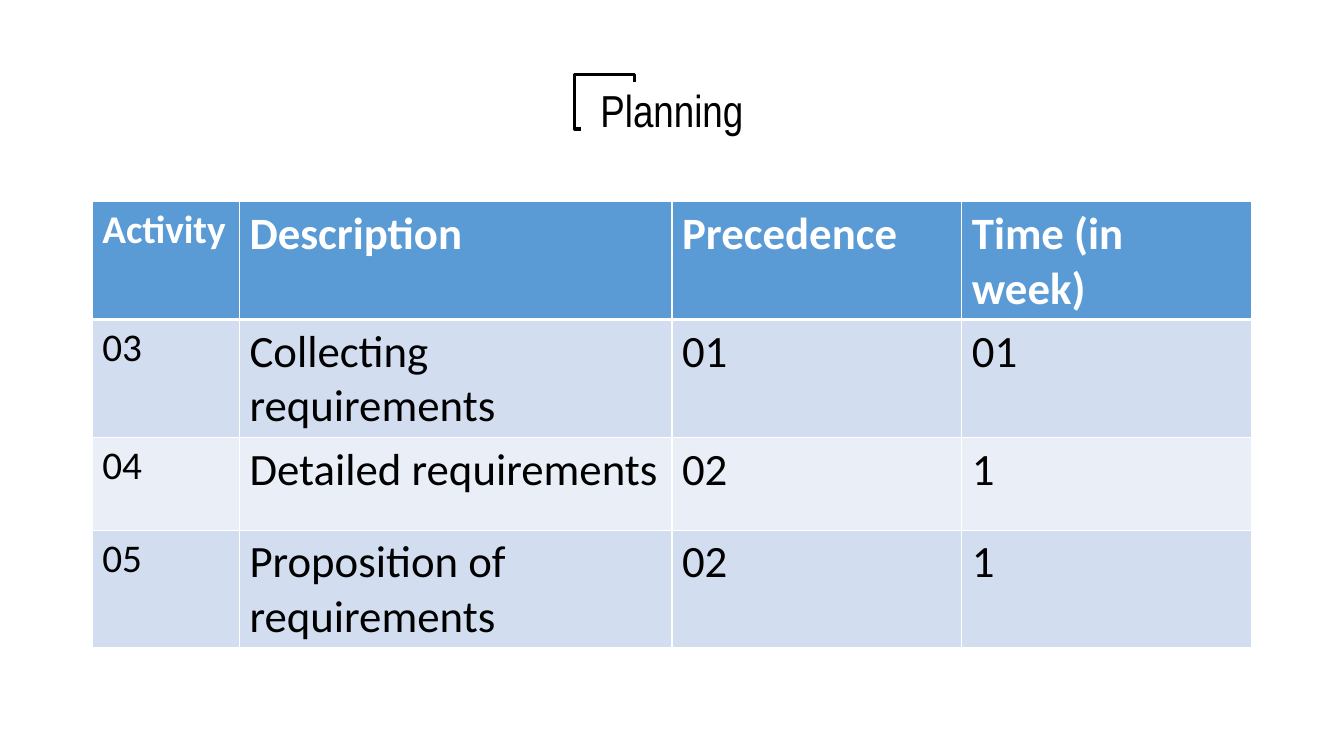
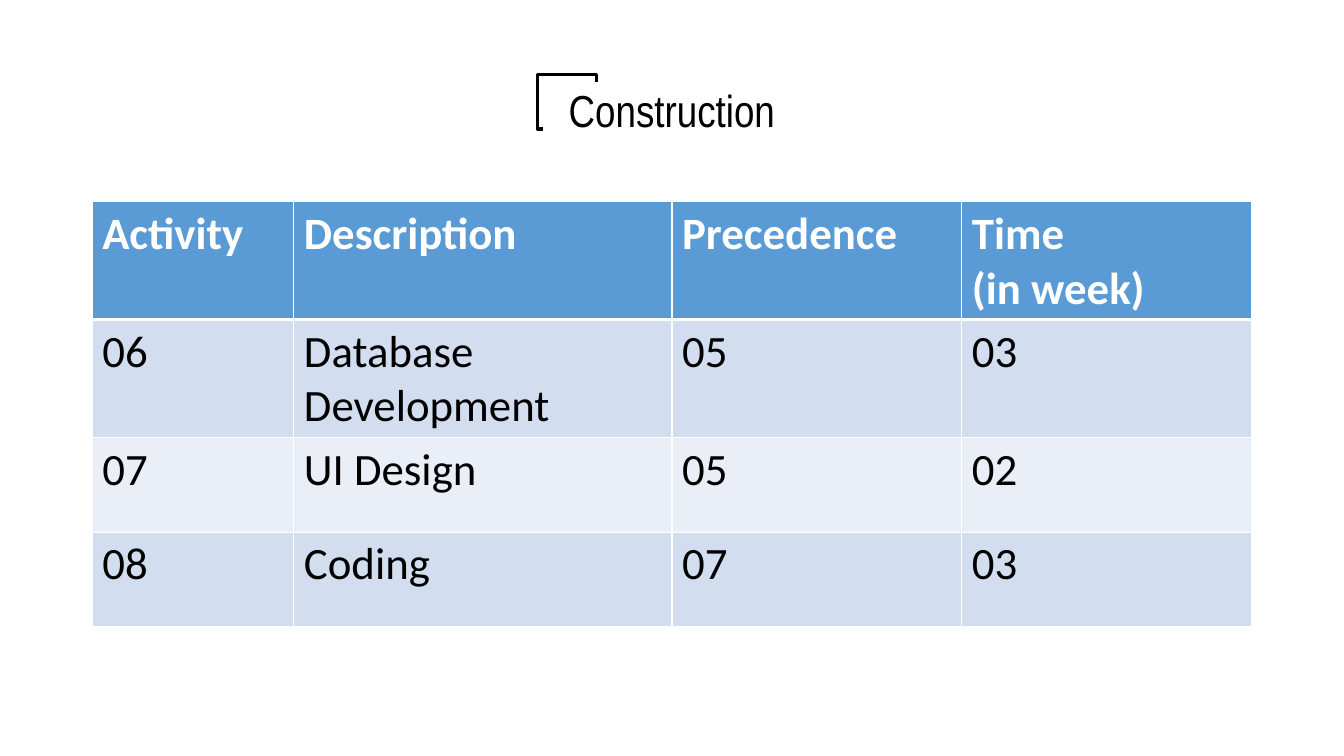
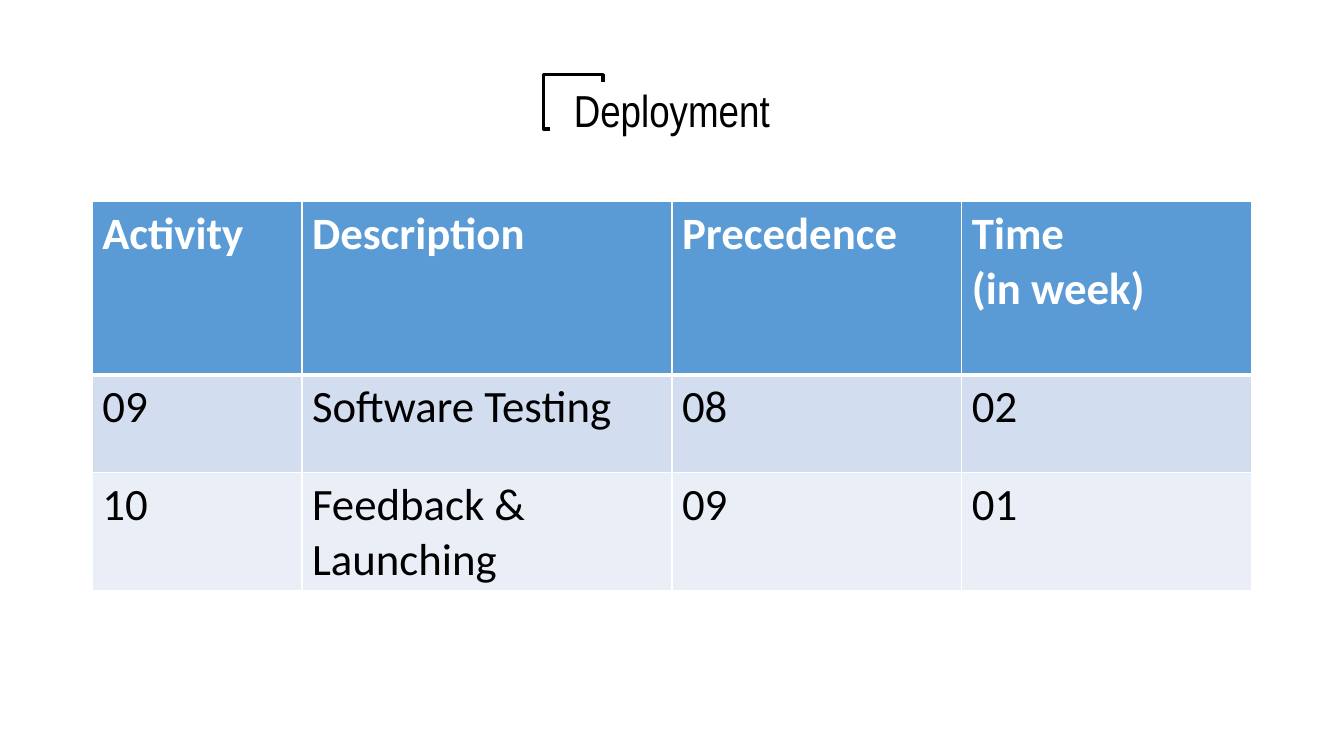
import lxml.etree
import pptx
import pptx.dml.color
import pptx.enum.text
import pptx.oxml.ns
import pptx.util

BLACK, WHITE, HEADER = "000000", "FFFFFF", "5B9BD5"
BANDS = ["D2DEEF", "EAEFF7"]
TITLE_FONT, BODY_FONT = "Arial Narrow", "Calibri"
WIDTH, HEIGHT = 13.33, 7.5
CONTENT = 11.5
LEFT = (WIDTH - CONTENT) / 2
QUARTER = CONTENT / 4
TABLE_TOP = 2
TWO_LINES = 1.17

# activity: width of the first column; first_size: its text size; bracket: its left edge
SLIDES = [
    dict(title="Planning", bracket=5.7, activity=1.46, first_size=28,
         heights=[TWO_LINES, TWO_LINES, 0.92, TWO_LINES],
         rows=[["Activity", "Description", "Precedence", "Time (in week)"],
               ["03", "Collecting requirements", "01", "01"],
               ["04", "Detailed requirements", "02", "1"],
               ["05", "Proposition of requirements", "02", "1"]]),
    dict(title="Construction", bracket=5.33, activity=2, first_size=32,
         heights=[TWO_LINES, TWO_LINES, 0.94, 0.94],
         rows=[["Activity", "Description", "Precedence", "Time\n(in week)"],
               ["06", "Database Development", "05", "03"],
               ["07", "UI Design", "05", "02"],
               ["08", "Coding", "07", "03"]]),
    dict(title="Deployment", bracket=5.39, activity=2.08, first_size=32,
         heights=[1.72, 0.97, TWO_LINES],
         rows=[["Activity", "Description", "Precedence", "Time\n(in week)"],
               ["09", "Software Testing", "08", "02"],
               ["10", "Feedback & Launching", "09", "01"]]),
]


def paint(fill, color):
    fill.solid()
    fill.fore_color.rgb = pptx.dml.color.RGBColor.from_string(color)


def write(tf, text, font=BODY_FONT, size=32, color=BLACK, bold=False, align=None, spacing=None):
    """Fill a text frame, one paragraph for each line of text."""
    tf.word_wrap = True
    for i, line in enumerate(text.split("\n")):
        p = tf.add_paragraph() if i else tf.paragraphs[0]
        p.alignment = align
        p.line_spacing = spacing
        r = p.add_run()
        r.text = line
        r.font.name = font
        r.font.size = pptx.util.Pt(size)
        r.font.bold = bold
        paint(r.font.fill, color)


inch = pptx.util.Inches
prs = pptx.Presentation()
prs.slide_width, prs.slide_height = inch(WIDTH), inch(HEIGHT)

for data in SLIDES:
    s = prs.slides.add_slide(prs.slide_layouts[6])
    paint(s.background.fill, WHITE)

    title = s.shapes.add_textbox(inch(LEFT), inch(0.4), inch(CONTENT), inch(1.45))
    title.text_frame.vertical_anchor = pptx.enum.text.MSO_ANCHOR.MIDDLE
    write(title.text_frame, data["title"], font=TITLE_FONT,
          align=pptx.enum.text.PP_ALIGN.CENTER, spacing=0.9)

    x, top, bottom = data["bracket"], 0.74, 1.28
    outline = s.shapes.build_freeform(inch(x + 0.06), inch(bottom))
    outline.add_line_segments(
        [(inch(a), inch(b)) for a, b in
         [(x, bottom), (x, top), (x + 0.59, top), (x + 0.59, top + 0.07)]],
        close=False)
    bracket = outline.convert_to_shape()
    bracket.shadow.inherit = False
    bracket.fill.background()
    paint(bracket.line.fill, BLACK)
    bracket.line.width = pptx.util.Pt(2.25)

    rows, heights = data["rows"], data["heights"]
    table = s.shapes.add_table(len(rows), 4, inch(LEFT), inch(TABLE_TOP),
                               inch(CONTENT), inch(sum(heights))).table
    widths = [data["activity"], 2 * QUARTER - data["activity"], QUARTER, QUARTER]
    for column, width in zip(table.columns, widths):
        column.width = inch(width)

    for i, row in enumerate(rows):
        table.rows[i].height = inch(heights[i])
        is_header = i == 0
        for j, text in enumerate(row):
            cell = table.cell(i, j)
            write(cell.text_frame, text, size=32 if j else data["first_size"],
                  color=WHITE if is_header else BLACK, bold=is_header)
            tc_pr = cell._tc.get_or_add_tcPr()
            for side in "LRTB":
                thick = (i, side) in [(0, "B"), (1, "T")]
                ln = lxml.etree.SubElement(tc_pr, pptx.oxml.ns.qn(f"a:ln{side}"),
                                           w=str(pptx.util.Pt(3 if thick else 1)))
                line_fill = lxml.etree.SubElement(ln, pptx.oxml.ns.qn("a:solidFill"))
                lxml.etree.SubElement(line_fill, pptx.oxml.ns.qn("a:srgbClr"), val=WHITE)
            paint(cell.fill, HEADER if is_header else BANDS[(i - 1) % 2])

prs.save("out.pptx")
